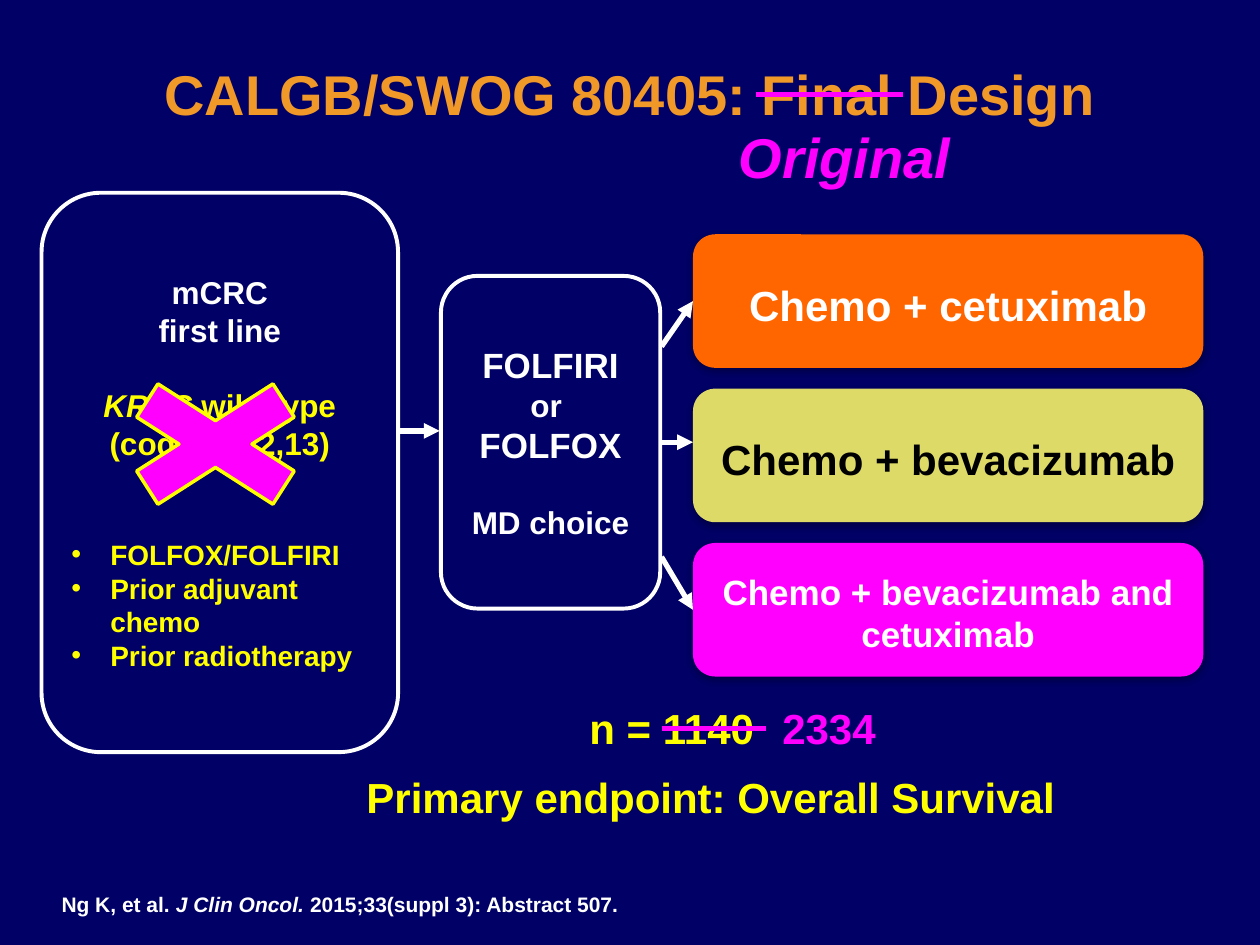
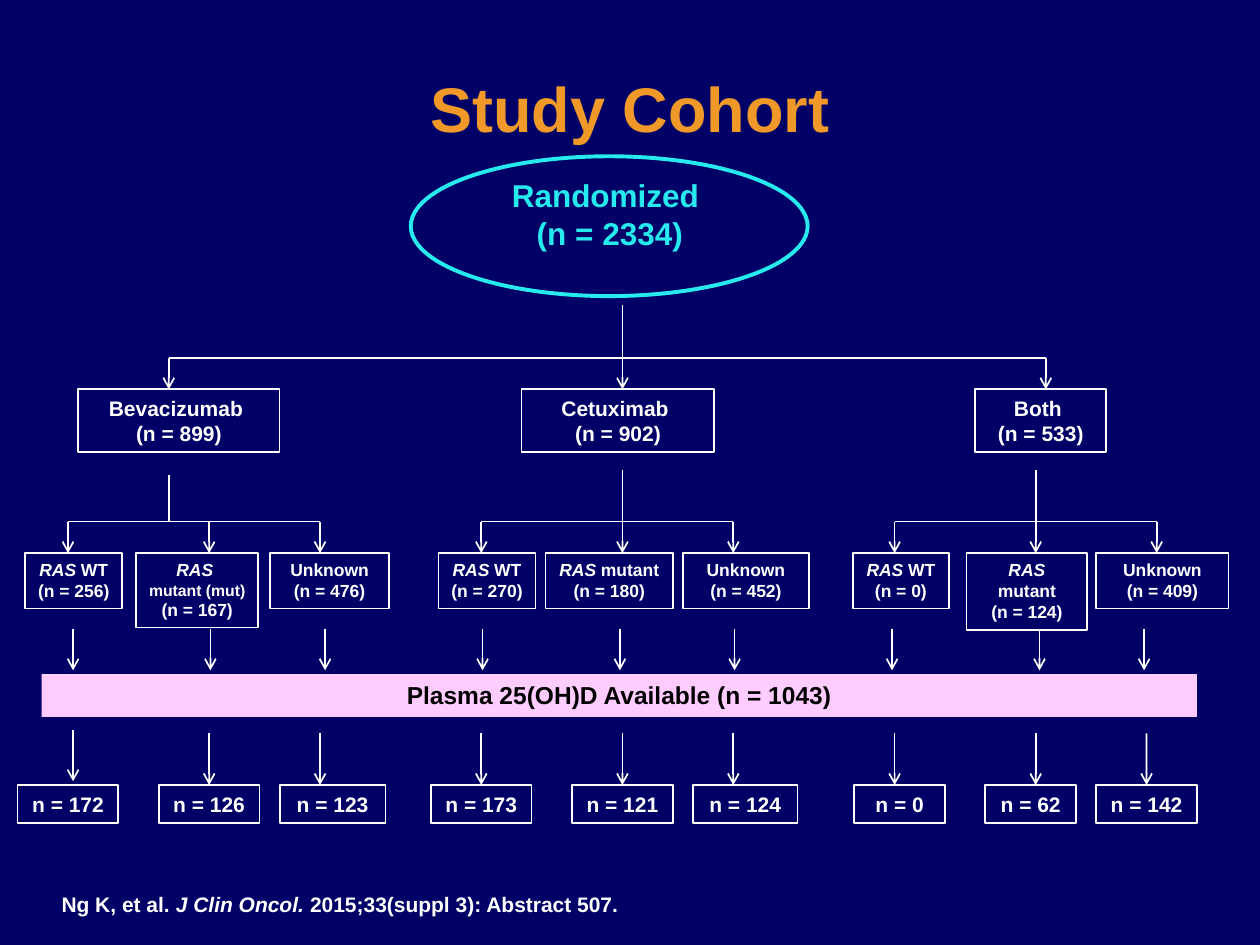
import pptx
import pptx.util
import pptx.dml.color
import pptx.enum.shapes
import pptx.enum.text
import pptx.oxml.ns
from lxml import etree

Inches, Pt = pptx.util.Inches, pptx.util.Pt
SHAPE = pptx.enum.shapes.MSO_SHAPE
ALIGN = pptx.enum.text.PP_ALIGN
ANCHOR = pptx.enum.text.MSO_ANCHOR
qn = pptx.oxml.ns.qn

NAVY, WHITE, BLACK = "000066", "FFFFFF", "000000"
GOLD, YELLOW, PINK = "F09828", "FFFF00", "FF00FF"
ORANGE, KHAKI, CYAN, ROSE = "FF6600", "DDDA68", "27EAEF", "FFCCFF"


def rgb(code):
    return pptx.dml.color.RGBColor.from_string(code)


def shade(blur, dist, angle, alpha):
    """Return an effect list with one black outer shadow."""
    root = etree.Element(qn("a:effectLst"))
    cast = etree.SubElement(root, qn("a:outerShdw"), blurRad=str(Pt(blur)),
                            dist=str(Pt(dist)), dir=str(angle * 60000))
    tone = etree.SubElement(cast, qn("a:srgbClr"), val=BLACK)
    etree.SubElement(tone, qn("a:alpha"), val=str(alpha * 1000))
    return root


def para(shape, *runs, size, hue=WHITE, align=ALIGN.CENTER, gap=0):
    """Add a paragraph; a run is a string, or a 1-tuple for italic."""
    frame = shape.text_frame
    line = frame.paragraphs[0]
    if line.runs:
        line = frame.add_paragraph()
        line.space_before = Pt(gap)
    line.alignment = align
    for item in runs:
        run = line.add_run()
        run.text = item if isinstance(item, str) else item[0]
        font = run.font
        font.name, font.size, font.bold = "Arial", Pt(size), True
        font.italic = not isinstance(item, str)
        font.color.rgb = rgb(hue)
    return line


def indent(line, left, hang=0, mark=None):
    props = line._p.get_or_add_pPr()
    props.set("marL", str(Inches(left)))
    props.set("indent", str(Inches(-hang)))
    if mark:
        etree.SubElement(props, qn("a:buFont"), typeface="Arial")
        etree.SubElement(props, qn("a:buChar"), char=mark)


def text(slide, left, top, width, height, anchor=ANCHOR.TOP):
    box = slide.shapes.add_textbox(
        Inches(left), Inches(top), Inches(width), Inches(height))
    box.text_frame.word_wrap = True
    box.text_frame.vertical_anchor = anchor
    return box


def block(slide, kind, left, top, width, height, fill=None, edge=None,
          weight=1, anchor=ANCHOR.TOP):
    box = slide.shapes.add_shape(
        kind, Inches(left), Inches(top), Inches(width), Inches(height))
    box.shadow.inherit = False
    if fill:
        box.fill.solid()
        box.fill.fore_color.rgb = rgb(fill)
    else:
        box.fill.background()
    if edge:
        box.line.color.rgb = rgb(edge)
        box.line.width = Pt(weight)
    else:
        box.line.fill.background()
    box.text_frame.word_wrap = True
    box.text_frame.vertical_anchor = anchor
    return box


def rule(slide, x1, y1, x2, y2, weight=1, hue=WHITE, head=None):
    line = slide.shapes.add_connector(
        pptx.enum.shapes.MSO_CONNECTOR.STRAIGHT,
        Inches(x1), Inches(y1), Inches(x2), Inches(y2))
    line.line.color.rgb = rgb(hue)
    line.line.width = Pt(weight)
    if head:
        etree.SubElement(line.line._get_or_add_ln(), qn("a:tailEnd"), type=head)
    etree.SubElement(line._element.spPr, qn("a:effectLst"))
    return line


def drop(slide, x, top, end, box=None):
    """Draw a downward arrow, joined to box when it meets its top middle."""
    line = rule(slide, x, top, x, end, head="arrow")
    if box and abs(box.left + box.width / 2 - Inches(x)) < Inches(0.01):
        line.end_connect(box, 0)


def label(slide, left, top, width, height):
    return block(slide, SHAPE.RECTANGLE, left, top, width, height, edge=WHITE)


def start(deck, title, top, height, size):
    """Add a slide with background, title and citation."""
    slide = deck.slides.add_slide(deck.slide_layouts[6])
    slide.background.fill.solid()
    slide.background.fill.fore_color.rgb = rgb(NAVY)
    box = text(slide, 0.25, top, 9.5, height, ANCHOR.MIDDLE)
    line = para(box, title, size=size, hue=GOLD)
    line.line_spacing = 0.9
    fill = line.runs[0]._r.rPr.find(qn("a:solidFill"))
    fill.addnext(shade(0, 3, 45, 100))
    cite = text(slide, 0.39, 7.03, 5.33, 0.3)
    para(cite, "Ng K, et al. ", ("J Clin Oncol. ",),
         "2015;33(suppl 3): Abstract 507.", size=12, align=ALIGN.LEFT)
    return slide


def therapy(slide, row, name, fill, hue, size):
    box = block(slide, SHAPE.ROUNDED_RECTANGLE, 5.5, 1.86 + row * 1.225,
                4.05, 1.06, fill, anchor=ANCHOR.MIDDLE)
    box.text_frame.margin_top = Inches(0.1)
    para(box, name, size=size, hue=hue)
    props = box._element.spPr
    props.replace(props.find(qn("a:effectLst")), shade(5, 1.8, 90, 35))
    return box


def design(deck):
    slide = start(deck, "CALGB/SWOG 80405: Final Design", 0.01, 1.53, 32)

    ends = text(slide, 2.17, 5.53, 6.78, 1)
    indent(para(ends, "n = 1140", size=24, hue=YELLOW, align=ALIGN.LEFT), 2.41)
    indent(para(ends, "Primary endpoint: Overall Survival", size=24,
                hue=YELLOW, align=ALIGN.LEFT, gap=10.4), 0.64)

    entry = block(slide, SHAPE.ROUNDED_RECTANGLE, 0.33, 1.53, 2.83, 4.44,
                  edge=WHITE, weight=2.25, anchor=ANCHOR.MIDDLE)
    para(entry, "mCRC", size=18)
    para(entry, "first line", size=18)
    para(entry, ("KRAS ",), "wild type", size=18, hue=YELLOW, gap=21.6)
    para(entry, "(codons 12,13)", size=18, hue=YELLOW)
    strata = ["FOLFOX/FOLFIRI", "Prior adjuvant chemo", "Prior radiotherapy"]
    for i, name in enumerate(strata):
        line = para(entry, name, size=16, hue=YELLOW, align=ALIGN.LEFT,
                    gap=0 if i else 43.2)
        indent(line, 0.31, 0.31, "•")

    chemo = block(slide, SHAPE.ROUNDED_RECTANGLE, 3.5, 2.19, 1.74, 2.64,
                  edge=WHITE, weight=2.25, anchor=ANCHOR.MIDDLE)
    para(chemo, "FOLFIRI", size=20)
    para(chemo, "or ", size=18)
    para(chemo, "FOLFOX", size=20)
    para(chemo, "MD choice", size=18, gap=21.6)

    first = therapy(slide, 0, "Chemo + cetuximab", ORANGE, WHITE, 24)
    therapy(slide, 1, "Chemo + bevacizumab", KHAKI, BLACK, 24)
    third = therapy(slide, 2, "Chemo + bevacizumab and cetuximab",
                    PINK, WHITE, 20)

    def arrow(*ends):
        return rule(slide, *ends, weight=3, head="triangle")

    arrow(3.17, 3.42, 3.49, 3.42)
    arrow(5.25, 2.75, 5.5, 2.42).end_connect(first, 1)
    arrow(5.25, 3.51, 5.5, 3.51).begin_connect(chemo, 3)
    arrow(5.25, 4.42, 5.5, 4.86).end_connect(third, 1)

    block(slide, SHAPE.MATH_MULTIPLY, 0.67, 2.86, 2.08, 1.33, PINK, YELLOW, 2)
    rule(slide, 5.25, 5.78, 6.08, 5.78, 3, PINK)
    para(text(slide, 6.08, 5.53, 1, 0.5), "2334", size=24, hue=PINK)
    rule(slide, 6, 0.75, 7.17, 0.75, 3, PINK)
    para(text(slide, 5.58, 0.92, 2.25, 0.64), ("Original",), size=32, hue=PINK)


# Drug, count, left, width, drop x, stem x, stem top
DRUGS = [
    ("Bevacizumab ", 899, 0.62, 1.6, 1.34, 1.34, 3.77),
    ("Cetuximab ", 902, 4.14, 1.53, 4.94, 4.94, 3.73),
    ("Both ", 533, 7.74, 1.04, 8.3, 8.22, 3.73),
]
# Per drug: RAS status, count, left, width, height, x of branch arrow
TYPES = [
    [("WT", 256, 0.2, 0.77, 0.44, 0.54),
     ("mutant (mut)", 167, 1.08, 0.97, 0.59, 1.66),
     ("Unknown", 476, 2.14, 0.95, 0.44, 2.54)],
    [("WT", 270, 3.48, 0.77, 0.44, 3.82),
     ("mutant", 180, 4.33, 1.01, 0.44, 4.94),
     ("Unknown", 452, 5.42, 1, 0.44, 5.82)],
    [("WT", 0, 6.77, 0.76, 0.44, 7.1),
     ("mutant", 124, 7.67, 0.96, 0.61, 8.22),
     ("Unknown", 409, 8.7, 1.05, 0.44, 9.18)],
]
# Plasma count, left, width, x of arrow in, x of arrow out, top of arrow out
PLASMA = [
    (172, 0.14, 0.8, 0.58, 0.58, 5.79), (126, 1.26, 0.8, 1.67, 1.66, 5.82),
    (123, 2.22, 0.84, 2.58, 2.54, 5.82), (173, 3.42, 0.8, 3.83, 3.82, 5.82),
    (121, 4.54, 0.8, 4.92, 4.94, 5.82), (124, 5.5, 0.83, 5.83, 5.82, 5.82),
    (0, 6.78, 0.72, 7.08, 7.1, 5.82), (62, 7.82, 0.72, 8.25, 8.22, 5.82),
    (142, 8.7, 0.8, 9.08, 9.1, 5.82),
]


def status(slide, name, count, left, width, height):
    box = label(slide, left, 4.39, width, height)
    if name == "Unknown":
        para(box, name, size=10)
    elif name == "mutant (mut)":
        para(box, ("RAS ",), size=10)
        para(box, name, size=9)
    else:
        para(box, ("RAS ",), name, size=10)
    box.text_frame.word_wrap = name != "WT"
    para(box, f"(n = {count})", size=10)
    return box


def cohort(deck):
    slide = start(deck, "Study Cohort", 0.29, 1.2, 36)
    total = text(slide, 3.08, 1.35, 3.52, 0.71)
    para(total, "Randomized ", size=18, hue=CYAN)
    para(total, "(n = 2334)", size=18, hue=CYAN)
    block(slide, SHAPE.OVAL, 3.26, 1.24, 3.15, 1.11, edge=CYAN, weight=2.25)

    rule(slide, 1.34, 2.84, 8.3, 2.84)
    for drug, kinds in zip(DRUGS, TYPES):
        name, count, left, width, x, stem, top = drug
        box = label(slide, left, 3.09, width, 0.5)
        para(box, name, size=12)
        para(box, f"(n = {count})", size=12)
        drop(slide, x, 2.42 if name == "Cetuximab " else 2.84, 3.09, box)
        rule(slide, stem, top, stem, 4.14)
        rule(slide, kinds[0][-1], 4.14, kinds[-1][-1], 4.14)
        for *kind, x in kinds:
            drop(slide, x, 4.14, 4.39, status(slide, *kind))

    bar = block(slide, SHAPE.RECTANGLE, 0.33, 5.35, 9.17, 0.34, ROSE)
    para(bar, "Plasma 25(OH)D Available (n = 1043)", size=14, hue=BLACK)
    for count, left, width, into, out, top in PLASMA:
        drop(slide, into, 4.99, 5.32)
        box = label(slide, left, 6.23, width, 0.3)
        para(box, f"n = {count}", size=12)
        drop(slide, out, top, top + 0.41, box)


def main():
    deck = pptx.Presentation()
    deck.slide_width, deck.slide_height = Inches(10), Inches(7.5)
    design(deck)
    cohort(deck)
    deck.save("out.pptx")


if __name__ == "__main__":
    main()
